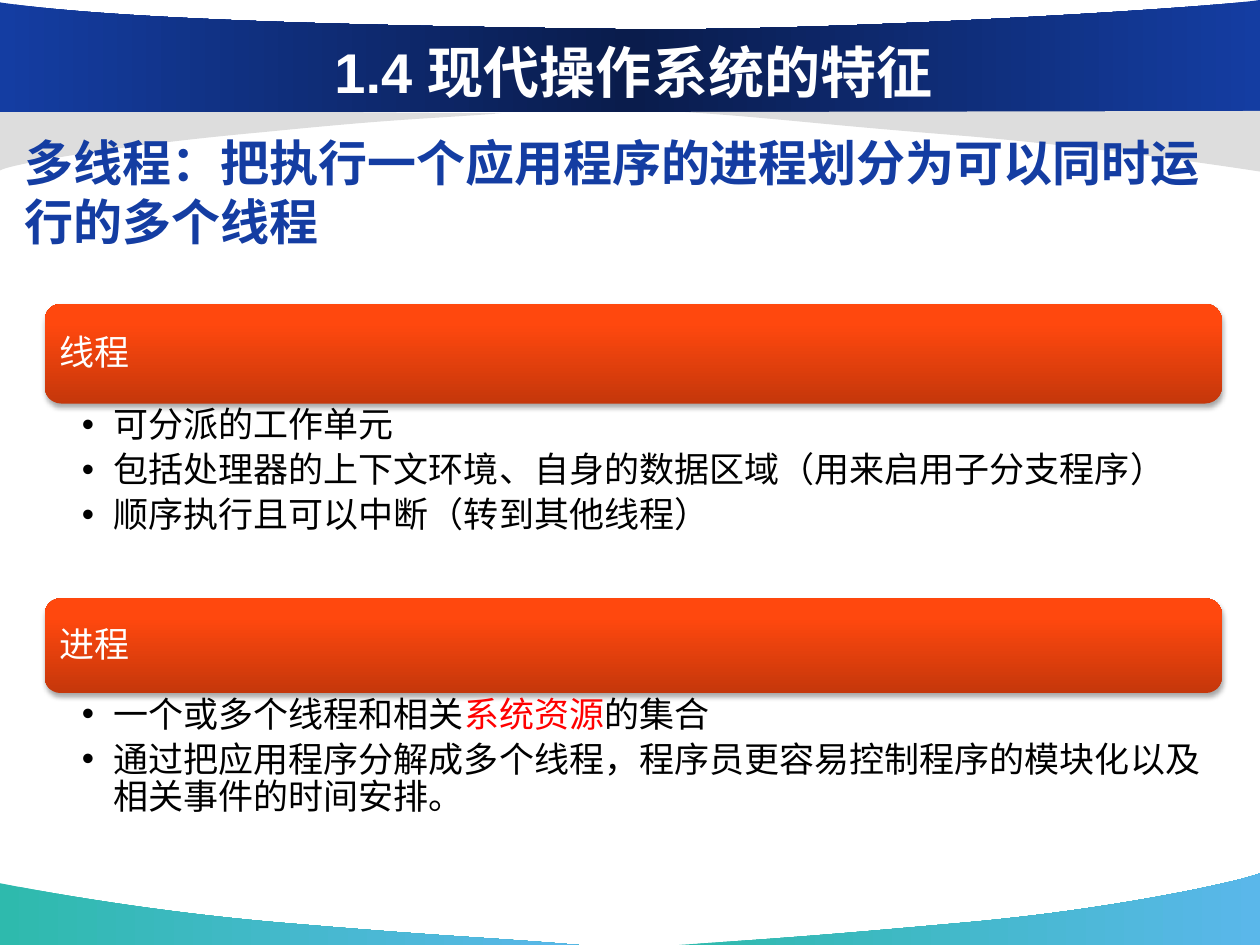
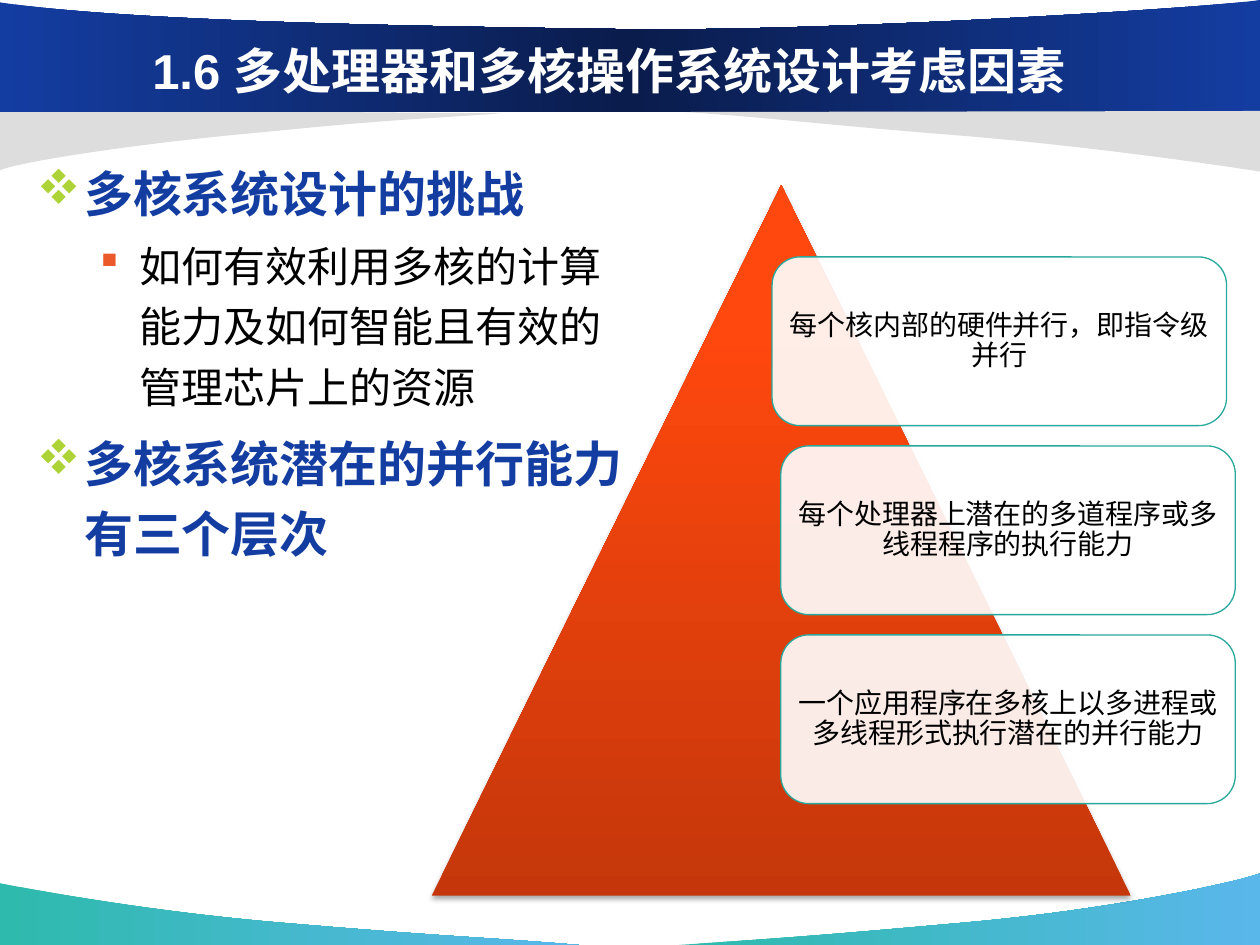
from copy import deepcopy

from lxml.etree import SubElement
from pptx import Presentation
from pptx.dml.color import RGBColor
from pptx.enum.shapes import MSO_SHAPE
from pptx.enum.text import MSO_ANCHOR, PP_ALIGN
from pptx.oxml.ns import qn
from pptx.util import Pt

COLORS = {
    "navy": "143DA2", "midnight": "0A1C4C", "gray": "DDDDDD",
    "teal": "2EBAAD", "sky": "5AB7EA", "outline": "29A89C",
    "rust": "C5370B", "orange": "FF480E", "flame": "FF4910",
    "lime": "AED337", "coral": "EB592B", "red": "FF0000",
    "white": "FFFFFF", "black": "000000",
}
RGB = {name: RGBColor.from_string(value) for name, value in COLORS.items()}
FONT = "Arial"

WAVE = [(0, "teal"), (1, "sky")]
BANNER = [(0, "navy"), (0.5, "midnight"), (1, "navy")]
GLOW = [(0, "rust"), (0.8, "orange"), (1, "flame")]

# Two numbers are a corner, six are a Bezier curve.
DECORATION = [
    (WAVE, [(331, 540), (276.5, 535.5, 258, 535.5, 167, 527.8),
            (76, 520.5, 0.7, 504.7, 0, 504.7), (0, 540)]),
    (WAVE, [(388, 540), (442, 536.4, 465, 535, 553.7, 527),
            (642, 519, 713, 502.5, 720, 499), (720, 540)]),
    ("gray", [(286.5, 64.8), (238, 68.4, 229, 67.7, 150, 75.6),
              (70, 82.8, 6.5, 93.6, 0, 97.4), (0, 62.6)]),
    (BANNER, [(0, 64), (720, 64), (720, 0), (694, 4.3, 470, 18.7, 350.6, 16.6),
              (231, 15, 72.7, 12.2, 0, 1.4)]),
    ("gray", [(391.7, 64), (446.4, 67.7, 462, 70.6, 553, 77.8),
              (643.7, 85.7, 719.3, 98, 720, 98), (720, 63.4)]),
]


def paint(shape, color, angle=0):
    """Fill with one colour name or with (position, name) gradient stops; no line, no shadow."""
    shape.line.fill.background()
    shape.shadow.inherit = False
    if isinstance(color, str):
        shape.fill.solid()
        shape.fill.fore_color.rgb = RGB[color]
        return
    shape.fill.gradient()
    shape.fill.gradient_angle = angle
    stop_list = shape._element.spPr.find(".//" + qn("a:gsLst"))
    while len(stop_list) < len(color):
        stop_list.append(deepcopy(stop_list[0]))
    for stop, (position, name) in zip(shape.fill.gradient_stops, color):
        stop.position = position
        stop.color.rgb = RGB[name]


def write(slide, box, paragraphs, margins=(7.2, 3.6, 7.2, 3.6), anchor=MSO_ANCHOR.TOP):
    """Add a text box with (runs, style) paragraphs, where runs are (text, colour name) pairs."""
    frame = slide.shapes.add_textbox(*[Pt(length) for length in box]).text_frame
    frame.word_wrap = True
    frame.vertical_anchor = anchor
    (frame.margin_left, frame.margin_top,
     frame.margin_right, frame.margin_bottom) = [Pt(margin) for margin in margins]
    for index, (runs, style) in enumerate(paragraphs):
        paragraph = frame.add_paragraph() if index else frame.paragraphs[0]
        paragraph.level = style.get("level", 0)
        if "bullet" in style:
            mark, mark_font, mark_color, indent, hanging = style["bullet"]
            properties = paragraph._p.get_or_add_pPr()
            properties.set("marL", str(Pt(indent)))
            properties.set("indent", str(-Pt(hanging)))
            bullet_color = SubElement(properties, qn("a:buClr"))
            SubElement(bullet_color, qn("a:srgbClr"), val=COLORS[mark_color])
            SubElement(properties, qn("a:buFont"), typeface=mark_font)
            SubElement(properties, qn("a:buChar"), char=mark)
        paragraph.alignment = style.get("align", PP_ALIGN.LEFT)
        paragraph.line_spacing = style.get("spacing", 1.0)
        paragraph.space_before = Pt(style.get("before", 0) if index else 0)
        paragraph.space_after = Pt(style.get("after", 0))
        for text, color in runs:
            run = paragraph.add_run()
            run.text = text
            run.font.name = FONT
            run.font.size = Pt(style["size"])
            run.font.bold = style.get("bold", False)
            run.font.color.rgb = RGB[color]


deck = Presentation()
deck.slide_width, deck.slide_height = Pt(720), Pt(540)

# Shared background
for _ in range(2):
    slide = deck.slides.add_slide(deck.slide_layouts[6])
    for color, (start, *segments) in DECORATION:
        points = [segment[i:i + 2] for segment in segments for i in range(0, len(segment), 2)]
        builder = slide.shapes.build_freeform(Pt(start[0]), Pt(start[1]))
        builder.add_line_segments([(Pt(x), Pt(y)) for x, y in points])
        band = builder.convert_to_shape()
        paint(band, color)
        corners = iter(band._element.spPr.findall(".//" + qn("a:lnTo")))
        for segment in segments:
            corner = next(corners)
            if len(segment) == 6:
                corner.addprevious(curve := corner.makeelement(qn("a:cubicBezTo")))
                for piece in (corner, next(corners), next(corners)):
                    curve.append(piece[0])
                    piece.getparent().remove(piece)

threads_slide, multicore_slide = deck.slides
glowing = []
title_style = {"bold": True, "align": PP_ALIGN.CENTER}

# Slide 1: threads and processes
concepts = [
    ("线程", 173.6, 57, 111.5, [
        [("可分派的工作单元", "black")],
        [("包括处理器的上下文环境、自身的数据区域（用来启用子分支程序）", "black")],
        [("顺序执行且可以中断（转到其他线程）", "black")],
    ]),
    ("进程", 342, 54, 98, [
        [("一个或多个线程和相关", "black"), ("系统资源", "red"), ("的集合", "black")],
        [("通过把应用程序分解成多个线程，程序员更容易控制程序的模块化以及相关事件的时间安排。",
          "black")],
    ]),
]
concept_style = {"size": 20, "spacing": 0.9}
detail_style = {"size": 20, "spacing": 0.9, "after": 4, "level": 1,
                "bullet": ("•", FONT, "black", 18, 18)}
for concept, top, bar_height, detail_height, details in concepts:
    bar = threads_slide.shapes.add_shape(
        MSO_SHAPE.ROUNDED_RECTANGLE, Pt(25.5), Pt(top), Pt(672.7), Pt(bar_height))
    paint(bar, GLOW, 90)
    glowing.append(bar)
    write(threads_slide, (28.3, top + 2.8, 667, bar_height - 5), [([(concept, "white")], concept_style)],
          (6, 6, 6, 6), MSO_ANCHOR.MIDDLE)
    write(threads_slide, (25.3, top + bar_height + 0.3, 672.7, detail_height),
          [(runs, detail_style) for runs in details], (21.5, 2, 11.5, 2))

write(threads_slide, (54, 15.5, 616, 50.5),
      [([("1.4 现代操作系统的特征", "white")], title_style | {"size": 32})],
      anchor=MSO_ANCHOR.MIDDLE)
write(threads_slide, (7.2, 72.2, 692, 75),
      [([("多线程：把执行一个应用程序的进程划分为可以同时运行的多个线程", "navy")],
        {"size": 28, "bold": True})])

# Slide 2: challenges and levels of parallelism
topic_style = {"size": 28, "bold": True, "spacing": 1.2, "before": 5.6,
               "bullet": ("v", "Wingdings", "lime", 27, 27)}
question_style = {"size": 24, "spacing": 1.2, "before": 4.8, "level": 1,
                  "bullet": ("§", "Wingdings", "coral", 58.5, 22.5)}
write(multicore_slide, (14, 83, 352, 330), [
    ([("多核系统设计的挑战", "navy")], topic_style),
    ([("如何有效利用多核的计算能力及如何智能且有效的管理芯片上的资源", "black")], question_style),
    ([("多核系统潜在的并行能力有三个层次", "navy")], topic_style),
])

pyramid = multicore_slide.shapes.add_shape(
    MSO_SHAPE.ISOSCELES_TRIANGLE, Pt(246.7), Pt(105.8), Pt(399.5), Pt(406))
paint(pyramid, GLOW, 90)
glowing.append(pyramid)

levels = [
    (441.2, "每个核内部的硬件并行，即指令级并行"),
    (446.2, "每个处理器上潜在的多道程序或多线程程序的执行能力"),
    (446.2, "一个应用程序在多核上以多进程或多线程形式执行潜在的并行能力"),
]
level_style = {"size": 16, "spacing": 0.9, "align": PP_ALIGN.CENTER}
for row, (left, level) in enumerate(levels):
    top = 146.8 + 108 * row
    card = multicore_slide.shapes.add_shape(
        MSO_SHAPE.ROUNDED_RECTANGLE, Pt(left), Pt(top), Pt(259.7), Pt(96.4))
    paint(card, "white")
    SubElement(card._element.spPr.find(".//" + qn("a:srgbClr")), qn("a:alpha"), val="90000")
    card.line.color.rgb = RGB["outline"]
    card.line.width = Pt(0.75)
    write(multicore_slide, (left + 4.7, top + 4.7, 250.3, 87), [([(level, "black")], level_style)],
          (4.8, 4.8, 4.8, 4.8), MSO_ANCHOR.MIDDLE)

write(multicore_slide, (66, 18, 564, 44.5),
      [([("1.6 多处理器和多核操作系统设计考虑因素", "white")], title_style | {"size": 28})],
      anchor=MSO_ANCHOR.MIDDLE)

# Soft shadow below the orange shapes
for shape in glowing:
    effects = shape._element.spPr.find(qn("a:effectLst"))
    shadow = SubElement(effects, qn("a:outerShdw"), blurRad=str(Pt(3.1)), dist=str(Pt(1.8)),
                        dir="5400000", rotWithShape="0")
    shadow_color = SubElement(shadow, qn("a:srgbClr"), val=COLORS["black"])
    SubElement(shadow_color, qn("a:alpha"), val="35000")

deck.save("out.pptx")
